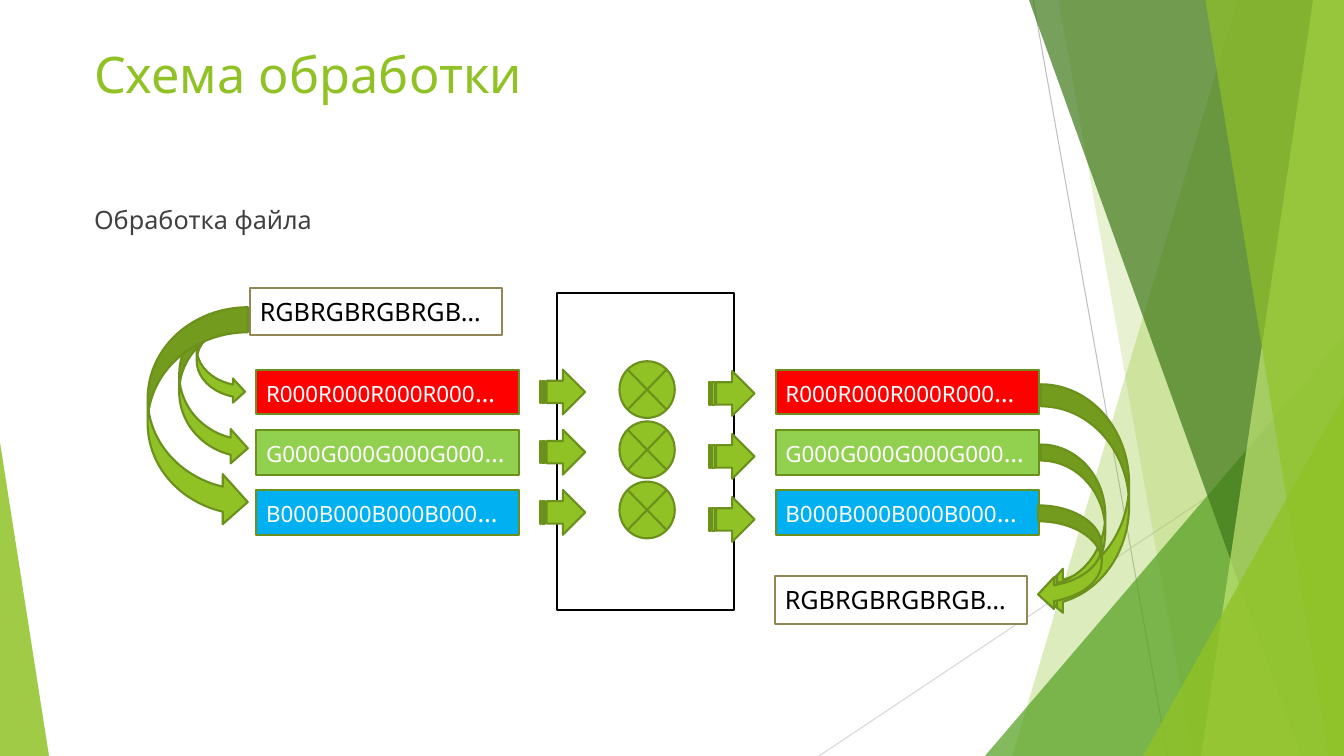
from lxml import etree
from pptx import Presentation
from pptx.dml.color import RGBColor
from pptx.enum.shapes import MSO_CONNECTOR, MSO_SHAPE
from pptx.enum.text import MSO_ANCHOR, PP_ALIGN
from pptx.oxml.ns import qn
from pptx.util import Pt

STRAIGHT = MSO_CONNECTOR.STRAIGHT
RECT = MSO_SHAPE.RECTANGLE
PROCESS = MSO_SHAPE.FLOWCHART_PROCESS
JUNCTION = MSO_SHAPE.FLOWCHART_SUMMING_JUNCTION
TRIANGLE = MSO_SHAPE.ISOSCELES_TRIANGLE
CURVED_RIGHT = MSO_SHAPE.CURVED_RIGHT_ARROW
CURVED_LEFT = MSO_SHAPE.CURVED_LEFT_ARROW
STRIPED = MSO_SHAPE.STRIPED_RIGHT_ARROW
LEFT = PP_ALIGN.LEFT
TOP = MSO_ANCHOR.TOP
MIDDLE = MSO_ANCHOR.MIDDLE

FONT = "Noto Sans"
WHITE = RGBColor(0xFF, 0xFF, 0xFF)
BLACK = RGBColor(0, 0, 0)
DARK_GRAY = RGBColor(0x40, 0x40, 0x40)
MID_GRAY = RGBColor(0xBF, 0xBF, 0xBF)
LIGHT_GRAY = RGBColor(0xD9, 0xD9, 0xD9)
LIME = RGBColor(0x90, 0xC2, 0x26)
LIME_EDGE = RGBColor(0x6B, 0x90, 0x1C)
PALE_LIME = RGBColor(0xC0, 0xE4, 0x74)
GREEN = RGBColor(0x54, 0xA0, 0x21)
DEEP_GREEN = RGBColor(0x3F, 0x78, 0x19)
OLIVE = RGBColor(0x91, 0x86, 0x55)
RED = RGBColor(0xFF, 0, 0)
CHANNEL_GREEN = RGBColor(0x92, 0xD0, 0x50)
CHANNEL_BLUE = RGBColor(0, 0xB0, 0xF0)

WIDTH, HEIGHT = 960, 540
PITCH = 43
CHANNELS = [("R", RED), ("G", CHANNEL_GREEN), ("B", CHANNEL_BLUE)]


def add_run(p, text, size=18, color=BLACK):
    r = p.add_run()
    r.text = text
    r.font.name = FONT
    r.font.size = Pt(size)
    r.font.color.rgb = color


def style(sp, fill, line=None, alpha=None):
    sp.shadow.inherit = False
    sp.fill.solid()
    sp.fill.fore_color.rgb = fill
    if alpha is not None:
        clr = sp._element.spPr.find(qn("a:solidFill"))[0]
        etree.SubElement(clr, qn("a:alpha")).set("val", str(alpha * 1000))
    if line is None:
        sp.line.fill.background()
    else:
        sp.line.color.rgb = line
        sp.line.width = Pt(1.5)


def add_shape(slide, kind, box, fill=LIME, line=LIME_EDGE, alpha=None):
    sp = slide.shapes.add_shape(kind, *map(Pt, box))
    style(sp, fill, line, alpha)
    return sp


def add_box(slide, box, runs, fill=WHITE, line=OLIVE, color=BLACK):
    sp = add_shape(slide, RECT, box, fill, line)
    tf = sp.text_frame
    tf.word_wrap = True
    tf.vertical_anchor = MIDDLE
    p = tf.paragraphs[0]
    p.alignment = LEFT
    for text, size in runs:
        add_run(p, text, size, color)


def add_line(slide, ends, color):
    cxn = slide.shapes.add_connector(STRAIGHT, *map(Pt, ends))
    cxn.line.color.rgb = color
    cxn.line.width = Pt(0.75)
    etree.SubElement(cxn._element.spPr, qn("a:effectLst"))


def add_band(slide, top_x, bottom_x, color, alpha):
    fb = slide.shapes.build_freeform(Pt(top_x), Pt(0))
    corners = [(WIDTH, 0), (WIDTH, HEIGHT), (bottom_x, HEIGHT)]
    fb.add_line_segments([(Pt(x), Pt(y)) for x, y in corners])
    style(fb.convert_to_shape(), color, alpha=alpha)


def add_triangle(slide, box, apex, color, alpha):
    sp = add_shape(slide, TRIANGLE, box, color, None, alpha)
    sp.adjustments[0] = apex


def fill_placeholder(slide, sp, box, text, size, color, space=0):
    sp.left, sp.top, sp.width, sp.height = map(Pt, box)
    tf = sp.text_frame
    tf.word_wrap = True
    tf.vertical_anchor = TOP
    p = tf.paragraphs[0]
    p.alignment = LEFT
    p.space_before = Pt(space)
    add_run(p, text, size, color)
    pPr = p._p.get_or_add_pPr()
    pPr.set("marL", "0")
    pPr.set("indent", "0")
    etree.SubElement(pPr, qn("a:buNone"))
    slide.shapes._spTree.append(sp._element)


def add_backdrop(slide):
    add_line(slide, (738, 0, 834, HEIGHT), MID_GRAY)
    add_line(slide, (WIDTH, 290, 585, HEIGHT), LIGHT_GRAY)
    add_band(slide, 884, 723, LIME, 30)
    add_band(slide, 756, 852, LIME, 20)
    add_triangle(slide, (703.5, 240, 256.5, 300), 1, GREEN, 72)
    add_band(slide, 735, 929.5, DEEP_GREEN, 70)
    add_band(slide, 938, 858, PALE_LIME, 70)
    add_band(slide, 861, 949, LIME, 65)
    add_triangle(slide, (816.5, 283, 143.5, 257), 1, LIME, 80)
    add_triangle(slide, (0, 316, 35, 224), 0, LIME, 85)


def add_channels(slide, x):
    for i, (letter, color) in enumerate(CHANNELS):
        runs = [((letter + "000") * 4, 16), ("…", 18)]
        box = (x, 264 + i * PITCH, 188, 32)
        add_box(slide, box, runs, color, LIME_EDGE, WHITE)


def add_column(slide, kind, x, y, w, h, pitch=PITCH):
    for i in range(len(CHANNELS)):
        add_shape(slide, kind, (x, y + i * pitch, w, h))


def add_diagram(slide):
    interleaved = [("RGBRGBRGBRGB…", 18)]
    add_box(slide, (178.5, 205.5, 180, 34), interleaved)
    add_channels(slide, 183)
    add_channels(slide, 554)
    add_box(slide, (553.5, 411.5, 180, 34), interleaved)
    add_column(slide, JUNCTION, 442.5, 258, 39.5, 40.5)
    for box in [(140.5, 222.5, 34.5, 66), (128, 221, 49, 111.5),
                (105.5, 219.5, 71.5, 157)]:
        add_shape(slide, CURVED_RIGHT, box)
    for box in [(743.5, 274.5, 63, 165.5), (743.5, 317.5, 46, 118),
                (741.5, 361, 45.5, 75)]:
        add_shape(slide, CURVED_LEFT, box)
    add_column(slide, STRIPED, 385.5, 264, 32.5, 32)
    add_column(slide, STRIPED, 506.5, 265, 32.5, 32, pitch=45)


def main():
    prs = Presentation()
    prs.slide_width, prs.slide_height = Pt(WIDTH), Pt(HEIGHT)
    slide = prs.slides.add_slide(prs.slide_layouts[1])
    add_backdrop(slide)
    add_shape(slide, PROCESS, (398, 209.5, 126, 226), WHITE, BLACK)
    fill_placeholder(slide, slide.shapes.title, (60, 27.5, 828, 104.5),
                     "Схема обработки", 36, LIME)
    fill_placeholder(slide, slide.placeholders[1], (60, 142.5, 828, 342.5),
                     "Обработка файла", 18, DARK_GRAY, space=10)
    add_diagram(slide)
    prs.save("out.pptx")


main()
